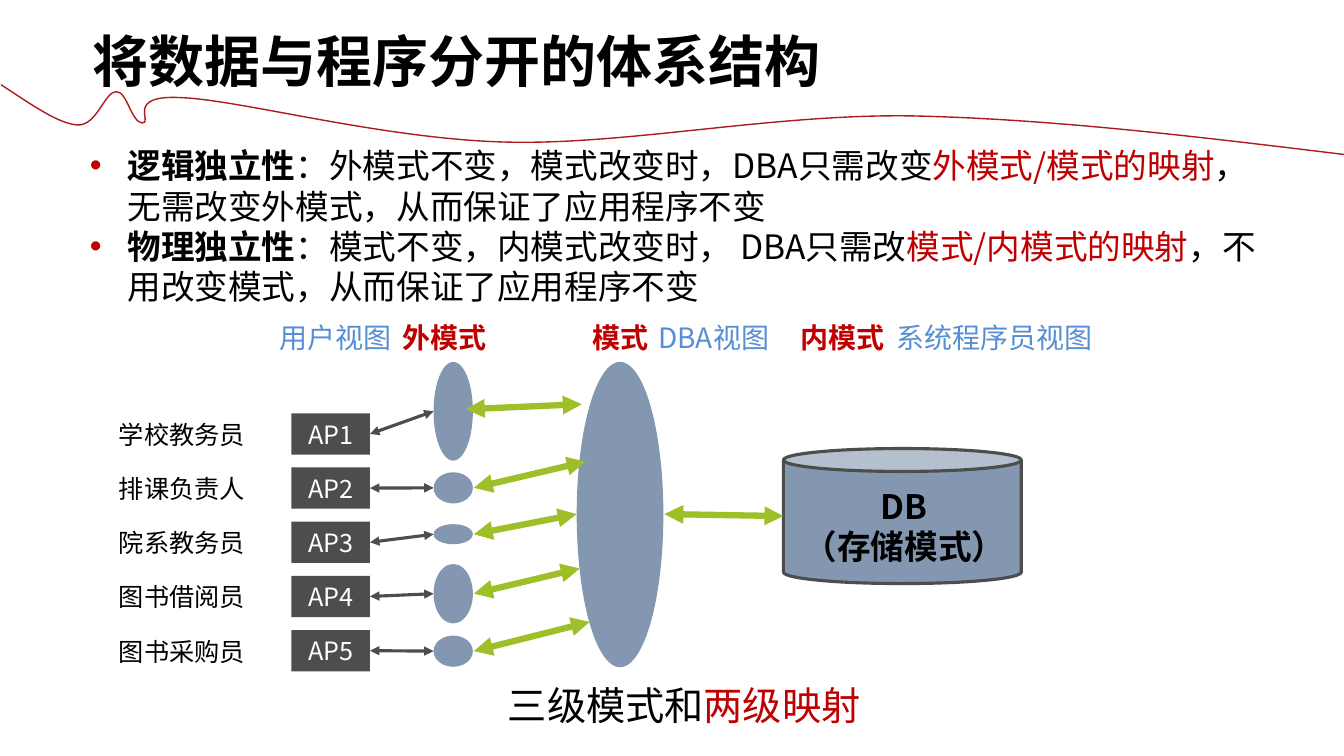
from dataclasses import dataclass

from lxml import etree
from pptx import Presentation
from pptx.dml.color import RGBColor
from pptx.enum import shapes, text
from pptx.oxml import ns
from pptx.util import Inches, Pt


@dataclass(frozen=True)
class Theme:
    font: str = "Noto Sans CJK SC"
    black: str = "000000"
    white: str = "FFFFFF"
    red: str = "C00000"
    wave: str = "AD1B1B"
    blue: str = "558ED5"
    slate: str = "8497B0"
    gray: str = "4D4D4D"
    green: str = "9EBF27"
    title_size: int = 40
    caption_size: int = 28
    body_size: int = 24
    heading_size: int = 20
    label_size: int = 18


THEME = Theme()
LEFT, CENTER = text.PP_ALIGN.LEFT, text.PP_ALIGN.CENTER
TOP, MIDDLE = text.MSO_ANCHOR.TOP, text.MSO_ANCHOR.MIDDLE

WAVE_START = (0.01, 0.84)
WAVE_CURVES = [
    ((0.3, 1.03), (0.58, 1.23), (0.77, 1.24)),
    ((0.96, 1.25), (1.04, 0.91), (1.15, 0.91)),
    ((1.26, 0.9), (1.3, 1.21), (1.41, 1.22)),
    ((1.53, 1.23), (1.22, 0.93), (1.82, 0.97)),
    ((2.42, 1), (3.81, 1.38), (5.02, 1.41)),
    ((6.22, 1.44), (7.65, 1.13), (9.04, 1.15)),
    ((10.44, 1.18), (11.91, 1.36), (13.39, 1.54)),
]
POINTS = [
    [("逻辑独立性", {"bold": True}), ("：外模式不变，模式改变时，DBA只需改变", {}),
     ("外模式/模式的映射", {"color": THEME.red}), ("，无需改变外模式，从而保证了应用程序不变", {})],
    [("物理独立性", {"bold": True}), ("：模式不变，内模式改变时， DBA只需改", {}),
     ("模式/内模式的映射", {"color": THEME.red}), ("，不用改变模式，从而保证了应用程序不变", {})],
]
# text, left, width, whether it names a schema level
HEADINGS = [
    ("用户视图", 2.67, 1.32, False), ("外模式", 3.89, 1.04, True),
    ("模式", 5.78, 0.76, True), ("DBA视图", 6.43, 1.39, False),
    ("内模式", 7.84, 1.04, True), ("系统程序员视图", 8.79, 2.17, False),
]
# user, view centre and height, mapping start and end; all relative to the diagram
USERS = [
    ("学校教务员", 0.49, 0.98, (3.54, 0.47), (4.69, 0.42)),
    ("排课负责人", 1.25, 0.31, (3.62, 1.25), (4.73, 0.99)),
    ("院系教务员", 1.71, 0.2, (3.62, 1.71), (4.64, 1.51)),
    ("图书借阅员", 2.3, 0.59, (3.62, 2.3), (4.67, 2.05)),
    ("图书采购员", 2.87, 0.31, (3.62, 2.87), (4.77, 2.58)),
]


def lengths(*values):
    return [Inches(value) for value in values]


def write(frame, paragraphs, *, size, color=THEME.black, bold=False, align=LEFT,
          anchor=TOP, wrap=True, bullet=None, line_spacing=None):
    """Fill a text frame; each paragraph is a string or a list of (text, format) runs."""
    frame.word_wrap = wrap
    frame.auto_size = text.MSO_AUTO_SIZE.NONE
    frame.vertical_anchor = anchor
    for index, runs in enumerate(paragraphs):
        paragraph = frame.add_paragraph() if index else frame.paragraphs[0]
        if bullet:
            add_bullet(paragraph, bullet)
        paragraph.alignment = align
        paragraph.space_before = Pt(0)
        if line_spacing:
            paragraph.line_spacing = Pt(line_spacing)
        for words, style in [(runs, {})] if isinstance(runs, str) else runs:
            run = paragraph.add_run()
            run.text = words
            run.font.name = THEME.font
            run.font.size = Pt(size)
            run.font.bold = style.get("bold", bold)
            run.font.color.rgb = RGBColor.from_string(style.get("color", color))
            latin = run.font._element.find(ns.qn("a:latin"))
            east_asian = etree.Element(ns.qn("a:ea"), typeface=THEME.font)
            latin.addnext(east_asian)


def add_bullet(paragraph, color):
    """Give a hanging bullet, and keep punctuation inside the right margin."""
    properties = paragraph._p.get_or_add_pPr()
    properties.set("marL", str(Pt(27)))
    properties.set("indent", str(Pt(-27)))
    properties.set("hangingPunct", "0")
    bullet_color = etree.SubElement(properties, ns.qn("a:buClr"))
    etree.SubElement(bullet_color, ns.qn("a:srgbClr"), val=color)
    etree.SubElement(properties, ns.qn("a:buFont"), typeface="Arial")
    etree.SubElement(properties, ns.qn("a:buChar"), char="•")


def add_text(slide, box, paragraphs, **style):
    write(slide.shapes.add_textbox(*lengths(*box)).text_frame, paragraphs, **style)


def add_solid(slide, kind, box, fill, line=None):
    shape = slide.shapes.add_shape(kind, *lengths(*box))
    shape.shadow.inherit = False
    shape.fill.solid()
    shape.fill.fore_color.rgb = RGBColor.from_string(fill)
    if line:
        shape.line.color.rgb = RGBColor.from_string(line)
        shape.line.width = Pt(2.25)
    else:
        shape.line.fill.background()
    return shape


def add_double_arrow(slide, start, end, color, width):
    arrow = slide.shapes.add_connector(shapes.MSO_CONNECTOR.STRAIGHT, *lengths(*start, *end))
    arrow.line.color.rgb = RGBColor.from_string(color)
    arrow.line.width = Pt(width)
    outline = arrow.line._get_or_add_ln()
    for tag in ("a:headEnd", "a:tailEnd"):
        etree.SubElement(outline, ns.qn(tag), type="triangle")
    etree.SubElement(arrow._element.spPr, ns.qn("a:effectLst"))
    return arrow


def draw_wave(slide):
    """Draw the fine line under the title, turning each straight segment into a cubic curve."""
    builder = slide.shapes.build_freeform(*lengths(*WAVE_START))
    builder.add_line_segments([lengths(*curve[-1]) for curve in WAVE_CURVES], close=False)
    wave = builder.convert_to_shape()
    segments = list(wave._element.iter(ns.qn("a:lnTo")))
    for segment, curve in zip(segments, WAVE_CURVES):
        cubic = etree.Element(ns.qn("a:cubicBezTo"))
        for x, y in curve:
            etree.SubElement(cubic, ns.qn("a:pt"), x=str(Inches(x) - wave.left),
                             y=str(Inches(y) - wave.top))
        segment.getparent().replace(segment, cubic)
    wave.shadow.inherit = False
    wave.fill.background()
    wave.line.color.rgb = RGBColor.from_string(THEME.wave)
    wave.line.width = Pt(1)


def fill_placeholder(placeholder, box, paragraphs, **style):
    placeholder.left, placeholder.top, placeholder.width, placeholder.height = lengths(*box)
    write(placeholder.text_frame, paragraphs, **style)


def draw_headings(slide, top):
    for words, left, width, is_schema in HEADINGS:
        add_text(slide, (left, top, width, 0.44), [words], size=THEME.heading_size,
                 color=THEME.red if is_schema else THEME.blue, bold=is_schema, wrap=False)


def draw_schema_diagram(slide, box):
    left, top, width, height = box
    oval = shapes.MSO_SHAPE.OVAL
    row_pitch = 2.15 / (len(USERS) - 1)

    def place(point):
        return left + point[0], top + point[1]

    add_solid(slide, oval, (left + 4.64, top, 0.86, height), THEME.slate)
    for index, (user, view_center, view_height, start, end) in enumerate(USERS):
        row = top + 0.51 + row_pitch * index
        add_text(slide, (left, row + 0.01, 1.65, 0.4), [user], size=THEME.label_size)
        program = add_solid(slide, shapes.MSO_SHAPE.RECTANGLE,
                            (left + 1.81, row, 0.78, 0.41), THEME.gray)
        write(program.text_frame, [f"AP{index + 1}"], size=THEME.label_size,
              color=THEME.white, align=CENTER, anchor=MIDDLE)
        view_top = top + view_center - view_height / 2
        add_solid(slide, oval, (left + 3.22, view_top, 0.39, view_height), THEME.slate)
        link = add_double_arrow(slide, (left + 2.59, row + 0.2), place((3.22, view_center)),
                                THEME.gray, 2.25)
        link.begin_connect(program, 3)
        add_double_arrow(slide, place(start), place(end), THEME.green, 4.5)

    database_left = left + width - 2.36
    database = add_solid(slide, shapes.MSO_SHAPE.CAN, (database_left, top + 0.86, 2.36, 1.34),
                         THEME.slate, THEME.gray)
    database.adjustments[0] = 0.17
    add_text(slide, (database_left + 0.04, top + 1.18, 2.32, 0.91), ["DB", "（存储模式）"],
             size=THEME.body_size, bold=True, align=CENTER)
    add_double_arrow(slide, place((5.51, 1.51)), (database_left, top + 1.53), THEME.green, 4.5)


def build_architecture_slide(presentation):
    slide = presentation.slides.add_slide(presentation.slide_layouts[1])
    draw_wave(slide)
    fill_placeholder(slide.shapes.title, (0.82, 0.21, 7.49, 0.77), ["将数据与程序分开的体系结构"],
                     size=THEME.title_size, bold=True, wrap=False)
    fill_placeholder(slide.placeholders[1], (0.79, 1.39, 11.94, 1.72), POINTS,
                     size=THEME.body_size, bullet=THEME.red)
    draw_headings(slide, 3.13)
    draw_schema_diagram(slide, (1.08, 3.59, 9.05, 3.03))
    add_text(slide, (4.94, 6.69, 3.86, 0.6),
             [[("三级模式和", {}), ("两级映射", {"color": THEME.red})]],
             size=THEME.caption_size, line_spacing=35)


def main():
    presentation = Presentation()
    presentation.slide_width, presentation.slide_height = lengths(13.33, 7.5)
    build_architecture_slide(presentation)
    presentation.save("out.pptx")


if __name__ == "__main__":
    main()
